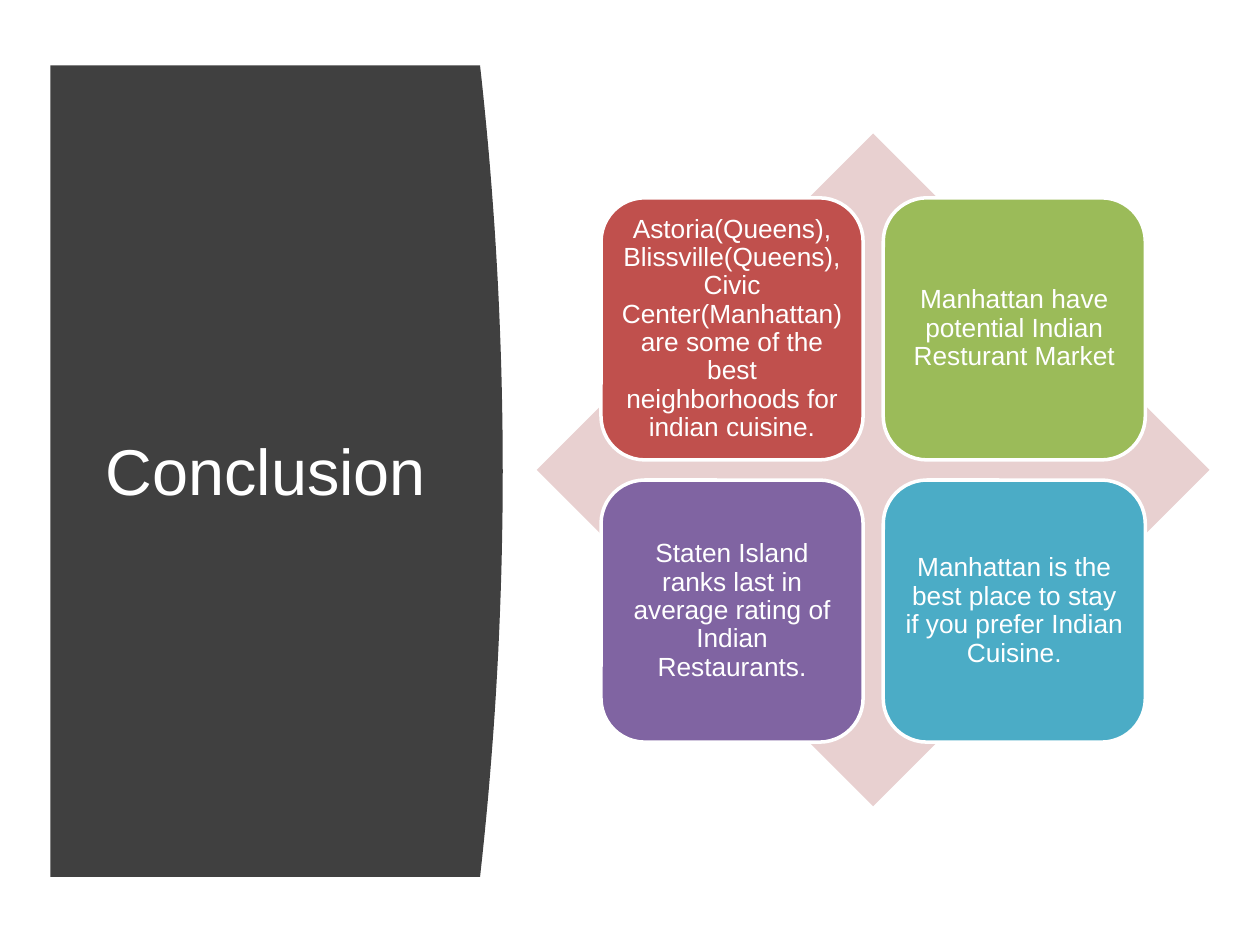
"""Build the conclusion slide: a curved title panel beside a four-part matrix."""
from pptx import Presentation
from pptx.dml.color import RGBColor
from pptx.enum.shapes import MSO_SHAPE as Shape
from pptx.enum.text import MSO_ANCHOR as Anchor, MSO_AUTO_SIZE as AutoSize, PP_ALIGN as Align
from pptx.util import Inches, Pt

WHITE = RGBColor(0xFF, 0xFF, 0xFF)
CHARCOAL = RGBColor(0x40, 0x40, 0x40)
BLUSH = RGBColor(0xE8, 0xD0, 0xD0)
RED = RGBColor(0xC0, 0x50, 0x4D)
GREEN = RGBColor(0x9B, 0xBB, 0x59)
PURPLE = RGBColor(0x80, 0x64, 0xA2)
TEAL = RGBColor(0x4B, 0xAC, 0xC6)

TITLE = "Conclusion"
FINDINGS = [
    ("Astoria(Queens), Blissville(Queens), Civic Center(Manhattan) are some of the best "
     "neighborhoods for indian cuisine.", RED),
    ("Manhattan have potential Indian Resturant Market", GREEN),
    ("Staten Island ranks last in average rating of Indian Restaurants.", PURPLE),
    ("Manhattan is the best place to stay if you prefer Indian Cuisine.", TEAL),
]

PANEL_LEFT, PANEL_TOP, PANEL_HEIGHT = 0.4, 0.52, 6.44
PANEL_CORNER, PANEL_BULGE, CURVE_STEPS = 3.81, 0.18, 40
DIAMOND = (4.26, 1.06, 5.34, 5.34)
GRID_LEFT, GRID_TOP, TILE, PITCH = 4.77, 1.57, 2.08, 2.24


def write(shape, text, size, margins, spacing=1.0):
    frame = shape.text_frame
    frame.word_wrap = True
    frame.auto_size = AutoSize.NONE
    frame.vertical_anchor = Anchor.MIDDLE
    frame.margin_left = frame.margin_right = Inches(margins[0])
    frame.margin_top = frame.margin_bottom = Inches(margins[1])
    para = frame.paragraphs[0]
    para.alignment = Align.CENTER
    para.line_spacing = spacing
    span = para.add_run()
    span.text = text
    span.font.name = "Arial"
    span.font.size = Pt(size)
    span.font.color.rgb = WHITE


def paint(shape, fill, outline=None):
    shape.shadow.inherit = False
    shape.fill.solid()
    shape.fill.fore_color.rgb = fill
    if outline is None:
        shape.line.fill.background()
    else:
        shape.line.color.rgb = outline
        shape.line.width = Pt(2)


def add_panel(page):
    bottom = PANEL_TOP + PANEL_HEIGHT
    curve = []
    for step in range(CURVE_STEPS + 1):
        share = step / CURVE_STEPS
        bulge = PANEL_BULGE * 4 * share * (1 - share)
        curve.append((Inches(PANEL_CORNER + bulge), Inches(PANEL_TOP + PANEL_HEIGHT * share)))
    outline = page.shapes.build_freeform(Inches(PANEL_LEFT), Inches(PANEL_TOP))
    outline.add_line_segments(curve + [(Inches(PANEL_LEFT), Inches(bottom))], close=True)
    panel = outline.convert_to_shape()
    paint(panel, CHARCOAL)
    return panel


def add_title(page, panel):
    title = page.shapes.title
    title.left, title.top = Inches(0.71), Inches(1.11)
    title.width, title.height = Inches(2.8), Inches(5.24)
    write(title, TITLE, 37, (0.1, 0.05))
    panel.element.addnext(title.element)


def add_matrix(page):
    diamond = page.shapes.add_shape(Shape.DIAMOND, *map(Inches, DIAMOND))
    paint(diamond, BLUSH)
    for index, (text, color) in enumerate(FINDINGS):
        row, column = divmod(index, 2)
        tile = page.shapes.add_shape(
            Shape.ROUNDED_RECTANGLE,
            Inches(GRID_LEFT + column * PITCH), Inches(GRID_TOP + row * PITCH),
            Inches(TILE), Inches(TILE))
        paint(tile, color, WHITE)
        write(tile, text, 15, (0.06, 0.06), spacing=0.9)


def main():
    deck = Presentation()
    deck.slide_width, deck.slide_height = Inches(10), Inches(7.5)
    page = deck.slides.add_slide(deck.slide_layouts[5])
    add_title(page, add_panel(page))
    add_matrix(page)
    deck.save("out.pptx")


if __name__ == "__main__":
    main()
